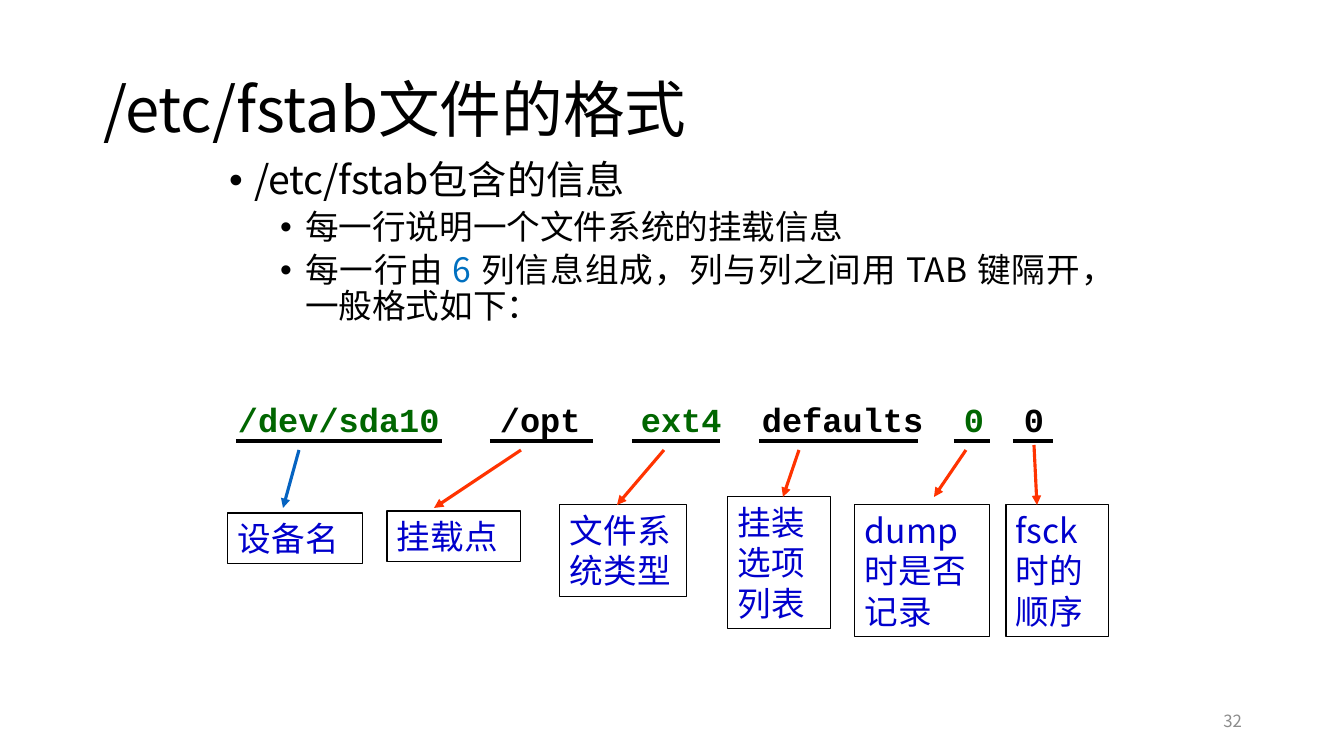
from lxml.etree import SubElement
from pptx import Presentation
from pptx.dml.color import RGBColor
from pptx.enum.shapes import MSO_CONNECTOR as Connector, MSO_SHAPE as Shape
from pptx.enum.text import MSO_ANCHOR as Anchor, MSO_AUTO_SIZE as AutoSize, PP_ALIGN as Align
from pptx.oxml.ns import qn
from pptx.util import Emu, Pt

PX = 914400 / 100.8
SANS, MONO = "Noto Sans CJK SC", "Courier New"
COLORS = {"black": "000000", "grey": "8C8C8C", "green": "006600", "label": "0000CC",
          "accent": "0070C0", "blue": "0563C1", "red": "FF3300"}
BULLETS = [
    (0, 28, 10, 25, [("/etc/fstab", "black"), ("包含的信息", "black")]),
    (1, 24, 5, 76, [("每一行说明一个文件系统的挂载信息", "black")]),
    (1, 24, 5, 76, [("每一行由 ", "black"), ("6 ", "accent"),
                    ("列信息组成，列与列之间用 TAB 键隔开，一般格式如下：", "black")]),
]
ENTRY = [("/dev/sda10", "green"), ("\t/opt", "black"), ("\text4", "green"),
         ("\tdefaults", "black"), ("\t0", "green"), ("\t0", "black")]
ENTRY_TABS = [262, 403, 524, 726, 786]
FIELDS = [
    ("设备名", (0, 119, 135, 51), (8, 214), (71, 56, 55, 114), "blue"),
    ("挂载点", (159, 117, 134, 51), (262, 365), (293, 56, 206, 114), "red"),
    ("文件系统类型", (332, 111, 127, 92), (404, 492), (436, 56, 389, 111), "red"),
    ("挂装选项列表", (500, 103, 103, 132), (531, 690), (571, 56, 555, 103), "red"),
    ("dump时是否记录", (627, 111, 135, 132), (726, 762), (738, 56, 706, 103), "red"),
    ("fsck时的顺序", (778, 111, 103, 132), (785, 825), (806, 51, 809, 111), "red"),
]


def px(value):
    """Turn pixels into EMU."""
    return Emu(round(value * PX))


def rgb(name):
    """Look up a named colour."""
    return RGBColor.from_string(COLORS[name])


def place(shape, box):
    """Move a shape to a pixel box."""
    shape.left, shape.top, shape.width, shape.height = map(px, box)


def add_span(para, text, size, color, font=SANS, bold=False):
    """Append one formatted run."""
    span = para.add_run()
    span.text = text
    span.font.size, span.font.name, span.font.bold = Pt(size), font, bold
    span.font.color.rgb = rgb(color)
    SubElement(span._r.get_or_add_rPr(), qn("a:ea"), typeface=SANS)


def set_frame(shape, anchor=Anchor.TOP):
    """Prepare a wrapping text frame and return it."""
    frame = shape.text_frame
    frame.word_wrap, frame.auto_size = True, AutoSize.NONE
    frame.vertical_anchor = anchor
    return frame


def add_title(page, box):
    """Fill the title placeholder."""
    place(page.shapes.title, box)
    para = set_frame(page.shapes.title, Anchor.MIDDLE).paragraphs[0]
    para.alignment, para.line_spacing = Align.LEFT, 0.9
    add_span(para, "/etc/fstab文件的格式", 44, "black")


def add_bullets(page, box):
    """Fill the body placeholder with the bulleted list."""
    body = page.placeholders[1]
    place(body, box)
    frame = set_frame(body)
    for index, (level, size, before, margin, spans) in enumerate(BULLETS):
        para = frame.add_paragraph() if index else frame.paragraphs[0]
        para.level, para.alignment = level, Align.JUSTIFY
        para.line_spacing, para.space_before = 0.9, Pt(before)
        props = para._p.get_or_add_pPr()
        props.set("marL", str(px(margin)))
        props.set("indent", str(px(-25)))
        SubElement(props, qn("a:buFont"), typeface="Arial")
        SubElement(props, qn("a:buChar"), char="•")
        for text, color in spans:
            add_span(para, text, size, color)


def add_line(page, ends, color, arrow=False):
    """Draw a straight line, with an arrowhead if asked."""
    line = page.shapes.add_connector(Connector.STRAIGHT, *map(px, ends))
    line.line.color.rgb, line.line.width = rgb(color), Pt(2.25)
    if arrow:
        SubElement(line.line._get_or_add_ln(), qn("a:tailEnd"), type="triangle")
    SubElement(line._element.spPr, qn("a:effectLst"))


def add_field(page, origin, label, box, underline, arrow, color):
    """Draw one column's label, underline and arrow from the diagram origin."""
    left, top = origin
    x, y, width, height = box
    rect = page.shapes.add_shape(
        Shape.RECTANGLE, *map(px, (left + x, top + y, width, height)))
    rect.shadow.inherit = False
    rect.fill.background()
    rect.line.color.rgb, rect.line.width = rgb("black"), Pt(0.75)
    para = set_frame(rect).paragraphs[0]
    para.alignment = Align.LEFT
    add_span(para, label, 24, "label")
    start, end = underline
    add_line(page, (left + start, top + 47, left + end, top + 47), "black")
    x1, y1, x2, y2 = arrow
    add_line(page, (left + x1, top + y1, left + x2, top + y2), color, True)


def add_diagram(page, box):
    """Draw the sample entry and explain each of its columns."""
    left, top, width, _ = box
    entry = page.shapes.add_textbox(*map(px, (left, top, width, 58)))
    para = set_frame(entry).paragraphs[0]
    para.space_before = Pt(5)
    tabs = SubElement(para._p.get_or_add_pPr(), qn("a:tabLst"))
    for stop in ENTRY_TABS:
        SubElement(tabs, qn("a:tab"), pos=str(px(stop)), algn="l")
    for text, color in ENTRY:
        add_span(para, text, 24, color, MONO, True)
    for field in FIELDS:
        add_field(page, (left, top), *field)


def add_page_number(page, box):
    """Write the page number."""
    number = page.shapes.add_textbox(*map(px, box))
    para = set_frame(number, Anchor.MIDDLE).paragraphs[0]
    para.alignment = Align.RIGHT
    add_span(para, "32", 12, "grey")


def main():
    """Build and save the deck."""
    deck = Presentation()
    deck.slide_width, deck.slide_height = px(1344), px(756)
    page = deck.slides.add_slide(deck.slide_layouts[1])
    add_title(page, (93, 40, 1159, 146))
    add_bullets(page, (219, 156, 906, 215))
    add_diagram(page, (228, 394, 865, 243))
    add_page_number(page, (950, 701, 302, 40))
    deck.save("out.pptx")


if __name__ == "__main__":
    main()
